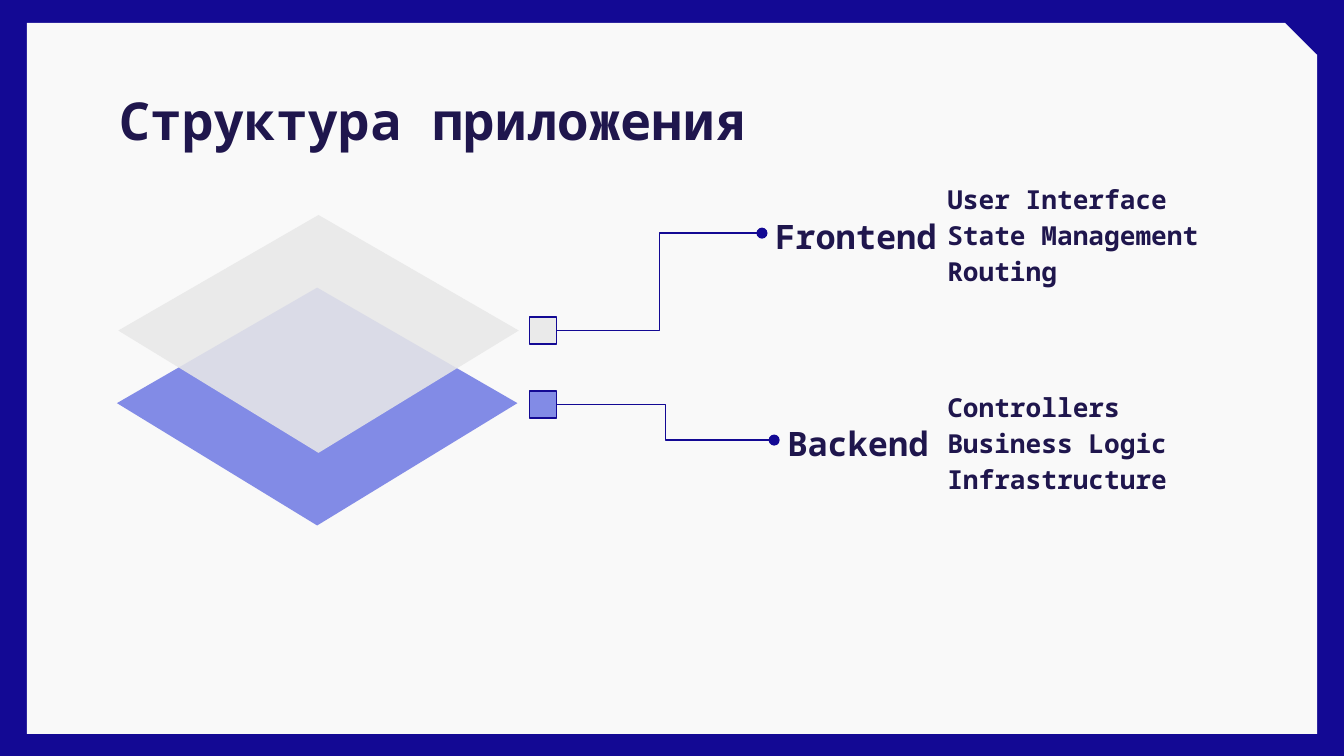
from lxml.etree import SubElement
from pptx import Presentation
from pptx.dml.color import RGBColor
from pptx.enum.shapes import MSO_CONNECTOR, MSO_SHAPE
from pptx.enum.text import MSO_ANCHOR, PP_ALIGN
from pptx.oxml.ns import qn
from pptx.util import Inches, Pt

NAVY, INK, PAPER = "130994", "1F164D", "F9F9F9"
GREY, VIOLET = ("E8E8E8", 87), ("6F79E3", 86)
FONT = "Noto Sans Mono"


def color(hex_code):
    """Turn a hex string into a colour."""
    return RGBColor.from_string(hex_code)


def paint(shape, fill, opacity=100, outline=None):
    """Fill a shape, with optional transparency and outline."""
    shape.shadow.inherit = False
    shape.fill.solid()
    shape.fill.fore_color.rgb = color(fill)
    if opacity < 100:
        srgb = shape.element.spPr.find(qn("a:solidFill")).find(qn("a:srgbClr"))
        SubElement(srgb, qn("a:alpha")).set("val", str(opacity * 1000))
    if outline:
        shape.line.color.rgb = color(outline)
        shape.line.width = Pt(0.75)
    else:
        shape.line.fill.background()


def write(shape, lines, size=14, anchor=MSO_ANCHOR.TOP):
    """Write bold lines into a shape, one paragraph each."""
    frame = shape.text_frame
    frame.word_wrap = True
    frame.vertical_anchor = anchor
    frame.margin_left = frame.margin_right = Inches(0.1)
    frame.margin_top = frame.margin_bottom = Inches(0.1)
    frame.text = "\n".join(lines)
    for paragraph in frame.paragraphs:
        paragraph.alignment = PP_ALIGN.LEFT
        paragraph.line_spacing = 1.15
        font = paragraph.runs[0].font
        font.name, font.size, font.bold = FONT, Pt(size), True
        font.color.rgb = color(INK)


def add_text(slide, box, lines, **text_format):
    """Add a text box holding the given lines."""
    text_box = slide.shapes.add_textbox(*map(Inches, box))
    write(text_box, lines, **text_format)
    return text_box


def add_frame(slide, box):
    """Draw the page sheet with its snipped corner on the navy background."""
    slide.background.fill.solid()
    slide.background.fill.fore_color.rgb = color(NAVY)
    sheet = slide.shapes.add_shape(MSO_SHAPE.SNIP_1_RECTANGLE, *map(Inches, box))
    sheet.adjustments[0] = 0.045
    paint(sheet, PAPER)
    tree = slide.shapes.element
    tree.remove(sheet.element)
    tree.insert(2, sheet.element)


def add_title(slide, box, title):
    """Place and format the title placeholder."""
    heading = slide.shapes.title
    heading.left, heading.top, heading.width, heading.height = map(Inches, box)
    write(heading, [title], size=28)


def add_layer(slide, box, tint):
    """Draw one translucent diamond of the stack."""
    left, top, width, height = box
    center, middle = left + width / 2, top + 0.86
    corners = [(left, middle), (center, top + height), (left + width, middle)]
    builder = slide.shapes.build_freeform(Inches(center), Inches(top))
    builder.add_line_segments([(Inches(x), Inches(y)) for x, y in corners])
    paint(builder.convert_to_shape(), *tint)


def add_callout(slide, box, name, parts, tint, name_box, key_top):
    """Add a layer's key square, name, list of parts and joining line."""
    left, top, width, height = box
    name_left, name_top, name_width, name_height = name_box
    add_text(slide, (left + 3.01, top, width - 3.01, height), parts)
    label = add_text(slide, (left + name_left, top + name_top, name_width, name_height),
                     [name], size=18, anchor=MSO_ANCHOR.MIDDLE)
    key = slide.shapes.add_shape(
        MSO_SHAPE.RECTANGLE, Inches(left), Inches(top + key_top), Inches(0.2), Inches(0.2))
    paint(key, *tint, outline=NAVY)

    link = slide.shapes.add_connector(
        MSO_CONNECTOR.ELBOW, label.left, label.top + label.height // 2,
        key.left + key.width, key.top + key.height // 2)
    link.begin_connect(label, 1)
    link.end_connect(key, 3)
    link.line.color.rgb = color(NAVY)
    link.line.width = Pt(0.75)
    outline = link.element.spPr.find(qn("a:ln"))
    SubElement(outline, qn("a:headEnd")).set("type", "oval")
    SubElement(link.element.spPr, qn("a:effectLst"))


def main():
    """Build the slide and save it."""
    deck = Presentation()
    deck.slide_width = Inches(10)
    deck.slide_height = deck.slide_width * 9 // 16
    slide = deck.slides.add_slide(deck.slide_layouts[5])
    add_frame(slide, (0.2, 0.17, 9.6, 5.29))
    add_title(slide, (0.79, 0.49, 8.43, 0.63), "Структура приложения")
    add_layer(slide, (0.87, 2.14, 2.98, 1.77), VIOLET)
    add_layer(slide, (0.88, 1.6, 2.98, 1.77), GREY)
    add_callout(slide, (3.94, 1.23, 5.17, 0.73), "Frontend",
                ["User Interface", "State Management", "Routing"],
                GREY, name_box=(1.73, 0.28, 1.5, 0.45), key_top=1.13)
    add_callout(slide, (3.94, 2.78, 5.17, 0.73), "Backend",
                ["Controllers", "Business Logic", "Infrastructure"],
                VIOLET, name_box=(1.82, 0.27, 1.28, 0.45), key_top=0.13)
    deck.save("out.pptx")


if __name__ == "__main__":
    main()
